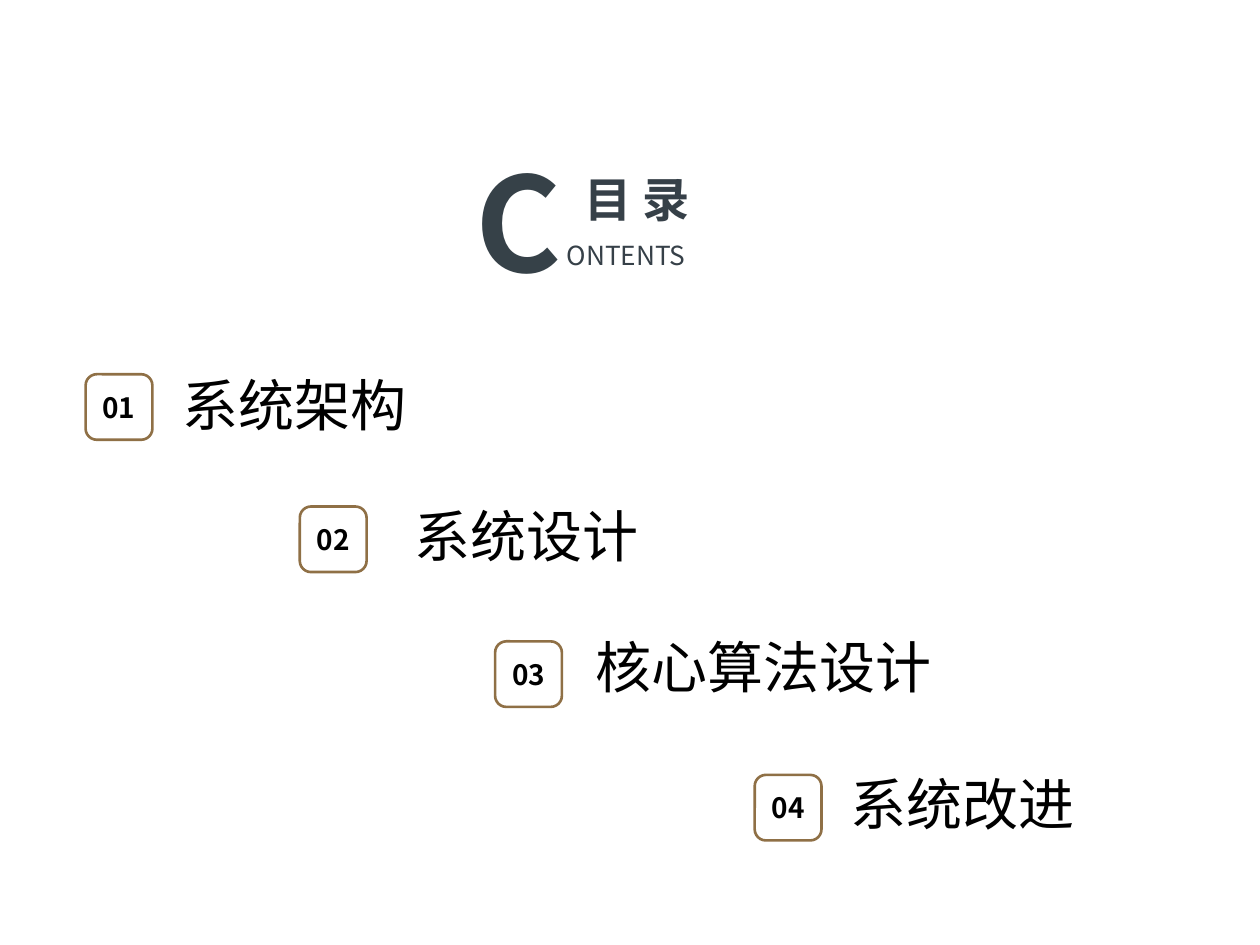
"""Build a contents slide with a large initial and four stepped entries."""
from lxml import etree
from pptx import Presentation, util as u
from pptx.dml.color import RGBColor
from pptx.enum import shapes, text
from pptx.oxml.ns import qn

HUES = {"slate": "364048", "steel": "364148", "gold": "8F7046", "ink": "000000"}
FACE = "Noto Sans CJK SC"
COLS, ROWS = 100, 75
LEFT, MID, RIGHT = text.PP_ALIGN.LEFT, text.PP_ALIGN.CENTER, text.PP_ALIGN.RIGHT
TOP, HALF, LOW = text.MSO_ANCHOR.TOP, text.MSO_ANCHOR.MIDDLE, text.MSO_ANCHOR.BOTTOM


class Deck:
    def __init__(self):
        self.prs = Presentation()
        self.prs.slide_width, self.prs.slide_height = u.Inches(10), u.Inches(7.5)
        self.slide = self.prs.slides.add_slide(self.prs.slide_layouts[6])

    def place(self, x, y, w, h):
        col, row = self.prs.slide_width / COLS, self.prs.slide_height / ROWS
        return [round(n) for n in (x * col, y * row, w * col, h * row)]

    def letter(self, shape, words, size, hue, bold=False, align=LEFT,
               anchor=TOP, pad=True, lead=None):
        frame = shape.text_frame
        frame.word_wrap = True
        frame.vertical_anchor = anchor
        frame.margin_left = frame.margin_right = u.Inches(0.1 if pad else 0)
        frame.margin_top = frame.margin_bottom = u.Inches(0.05 if pad else 0)
        para = frame.paragraphs[0]
        para.alignment = align
        if lead:
            para.line_spacing = lead
        run = para.add_run()
        run.text = words
        font = run.font
        font.name, font.size, font.bold = FACE, u.Pt(size), bold
        font.color.rgb = RGBColor.from_string(HUES[hue])
        etree.SubElement(run._r.get_or_add_rPr(), qn("a:ea"), typeface=FACE)

    def label(self, box, words, size, hue, **look):
        shape = self.slide.shapes.add_textbox(*self.place(*box))
        self.letter(shape, words, size, hue, **look)

    def badge(self, x, y, words):
        shape = self.slide.shapes.add_shape(
            shapes.MSO_SHAPE.ROUNDED_RECTANGLE, *self.place(x, y, 5.3, 5.2))
        shape.adjustments[0] = 0.17
        shape.shadow.inherit = False
        shape.fill.background()
        shape.line.color.rgb = RGBColor.from_string(HUES["gold"])
        shape.line.width = u.Pt(1.5)
        self.letter(shape, words, 16, "ink", bold=True, align=MID, anchor=HALF)


def main():
    deck = Deck()
    deck.label((44, 12.7, 13.1, 5.8), "目 录", 27, "slate",
               bold=True, align=MID, anchor=LOW)
    deck.label((29.3, 9.7, 15.3, 15.5), "C", 75, "steel",
               bold=True, align=RIGHT, anchor=HALF, pad=False)
    deck.label((44, 18.5, 13.1, 3.5), "ONTENTS", 15, "slate")

    items = [
        (6.8, 29.7, (13.5, 29.7, 22.1, 5.5), "系统架构", LOW, None),
        (23.8, 40.2, (31.9, 40.2, 37.2, 5.5), "系统设计", LOW, 0.9),
        (39.3, 50.9, (46.3, 49.7, 34.1, 6.4), "核心算法设计", TOP, None),
        (59.9, 61.5, (66.5, 61.5, 33.5, 5.5), "系统改进", LOW, 0.9),
    ]
    for num, (x, y, box, words, anchor, lead) in enumerate(items, 1):
        deck.badge(x, y, f"{num:02}")
        deck.label(box, words, 32, "ink", anchor=anchor, lead=lead)
    deck.prs.save("out.pptx")


if __name__ == "__main__":
    main()
